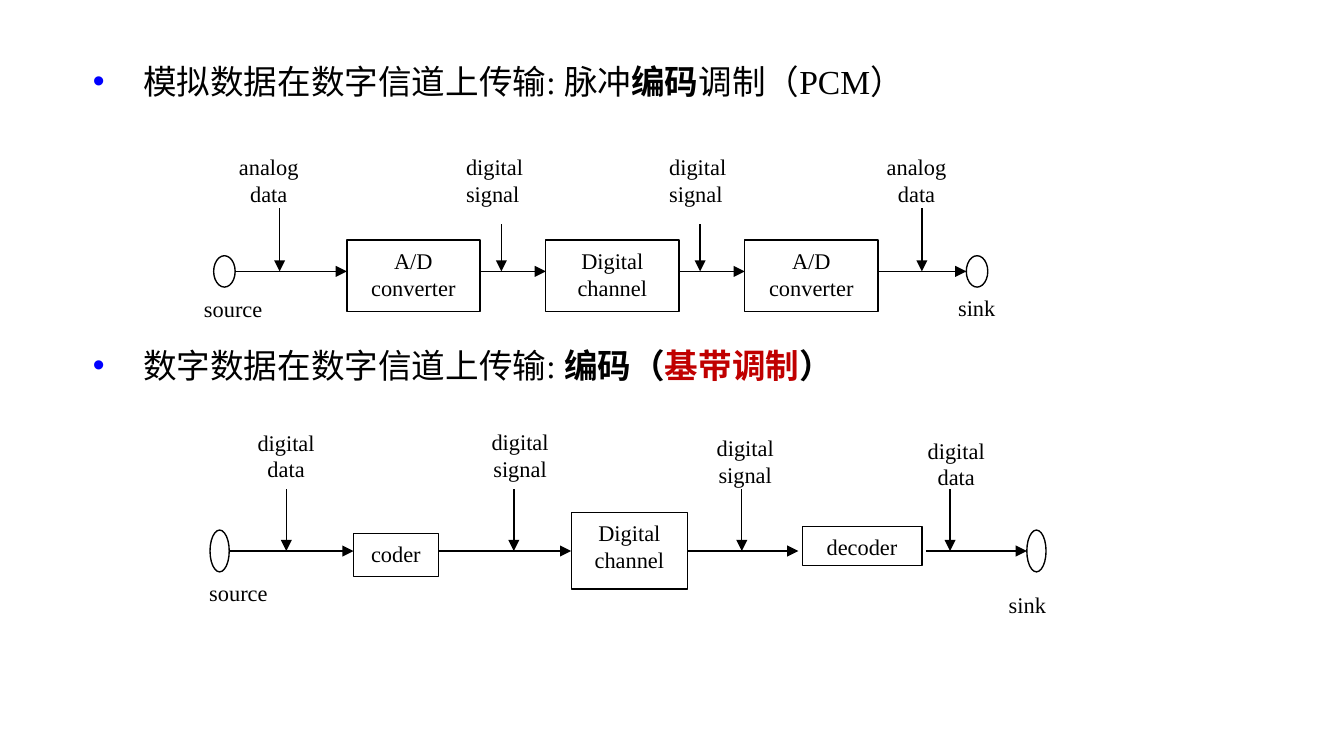
from itertools import pairwise
from lxml import etree
from pptx import Presentation
from pptx.dml.color import RGBColor
from pptx.enum import shapes, text
from pptx.oxml.ns import qn
from pptx.util import Pt

THEME = {
    "font": "Times New Roman", "bullet_font": "Arial",
    "black": "000000", "white": "FFFFFF", "bullet": "0000FF", "accent": "C00000",
    "heading": 18, "label": 12, "line": 0.75,
}
CENTER, JUSTIFY = text.PP_ALIGN.CENTER, text.PP_ALIGN.JUSTIFY
RECTANGLE, OVAL = shapes.MSO_SHAPE.RECTANGLE, shapes.MSO_SHAPE.OVAL

# Content: headings as (space before, runs), all lengths in points
HEADINGS = [
    (0, [("模拟数据在数字信道上传输: 脉冲", {}), ("编码", {"bold": True}),
         ("调制（PCM）", {})]),
    (130.5, [("数字数据在数字信道上传输: ", {}), ("编码（", {"bold": True}),
             ("基带调制", {"bold": True, "color": "accent"}), ("）", {"bold": True})]),
]

# axis: height of the signal path; nodes: text, left, top, width, height, gap to arrows
# ends: left edges of source and sink, width, height
# labels: text, left, top, width, height, alignment; drops: x, top
DIAGRAMS = [
    {
        "axis": 145.4,
        "ends": (114.5, 517.7, 11.5, 16.8),
        "nodes": [(name, 185.8 + 106.6 * i, 128.7, 71.3, 38.2, 0) for i, name in
                  enumerate(["A/D converter", "Digital channel", "A/D converter"])],
        "labels": [
            ("analog data", 114.5, 78.5, 59, 41.8, CENTER),
            ("digital signal", 242.6, 78.5, 54.7, 41.8, JUSTIFY),
            ("digital signal", 351.4, 78.5, 54.7, 41.8, JUSTIFY),
            ("analog data", 464.4, 78.5, 53.3, 41.8, CENTER),
            ("source", 102.2, 154.8, 58.3, 25.2, JUSTIFY),
            ("sink", 506.2, 154.1, 47.5, 25.2, JUSTIFY),
        ],
        "drops": [(149.8, 111.6), (268.6, 120.2), (375.1, 120.2), (493.9, 111.6)],
    },
    {
        "axis": 295.2,
        "ends": (112.5, 550.1, 10.3, 22.4),
        "nodes": [
            ("coder", 189.4, 285.8, 45.4, 23, 0),
            ("Digital channel", 306, 274.7, 62.4, 41, 0),
            ("decoder", 429.8, 282.2, 64.1, 20.9, 2.1),
        ],
        "labels": [
            ("digital data", 127.4, 226.1, 51.8, 37.4, CENTER),
            ("digital signal", 251.3, 226.1, 54.7, 33.8, CENTER),
            ("digital signal", 374.4, 229, 49.7, 34.6, CENTER),
            ("digital data", 482.4, 230.4, 59.8, 34.6, CENTER),
            ("source", 102.2, 306.7, 51.1, 33.8, CENTER),
            ("sink", 529.9, 313.2, 41, 33.8, CENTER),
        ],
        "drops": [(x, 262) for x in (153.4, 275.3, 397.4, 509)],
    },
]


def color(name):
    return RGBColor.from_string(THEME[name])


def add_text(paragraph, content, size="label", color_name="black", bold=False, align=None):
    """Append one formatted run to a paragraph."""
    run = paragraph.add_run()
    run.text = content
    run.font.name = THEME["font"]
    run.font.size = Pt(THEME[size])
    run.font.bold = bold
    run.font.color.rgb = color(color_name)
    if align is not None:
        paragraph.alignment = align


def add_box(group, kind, box, content="", outline="black", align=CENTER):
    shape = group.shapes.add_shape(kind, *(Pt(value) for value in box))
    shape.shadow.inherit = False
    shape.fill.solid()
    shape.fill.fore_color.rgb = color("white")
    shape.line.color.rgb = color(outline)
    shape.line.width = Pt(THEME["line"])
    if content:
        frame = shape.text_frame
        frame.word_wrap = True
        frame.vertical_anchor = text.MSO_ANCHOR.TOP
        add_text(frame.paragraphs[0], content, align=align)
    return shape


def add_arrow(group, *points):
    arrow = group.shapes.add_connector(
        shapes.MSO_CONNECTOR.STRAIGHT, *(Pt(value) for value in points))
    arrow.line.color.rgb = color("black")
    arrow.line.width = Pt(THEME["line"])
    etree.SubElement(arrow.line._get_or_add_ln(), qn("a:tailEnd"), type="triangle")
    etree.SubElement(arrow._element.spPr, qn("a:effectLst"))
    return arrow


def add_headings(body):
    body.left, body.top, body.width, body.height = Pt(42.5), Pt(28.8), Pt(652.3), Pt(317.5)
    frame = body.text_frame
    frame.auto_size = text.MSO_AUTO_SIZE.NONE
    for index, (space, runs) in enumerate(HEADINGS):
        paragraph = frame.add_paragraph() if index else frame.paragraphs[0]
        paragraph.space_before = Pt(space)
        for content, style in runs:
            add_text(paragraph, content, size="heading", bold=style.get("bold", False),
                     color_name=style.get("color", "black"))
        # Hanging blue bullet
        properties = paragraph._p.get_or_add_pPr()
        properties.set("marL", str(Pt(27)))
        properties.set("indent", str(-Pt(27)))
        bullet_color = etree.SubElement(properties, qn("a:buClr"))
        etree.SubElement(bullet_color, qn("a:srgbClr"), val=THEME["bullet"])
        etree.SubElement(properties, qn("a:buFont"), typeface=THEME["bullet_font"])
        etree.SubElement(properties, qn("a:buChar"), char="•")


def add_diagram(slide, diagram):
    group = slide.shapes.add_group_shape()
    axis = diagram["axis"]
    for content, *box, align in diagram["labels"]:
        add_box(group, RECTANGLE, box, content, outline="white", align=align)

    # Source, boxes and sink, each kept with its left and right arrow limits
    source_left, sink_left, width, height = diagram["ends"]
    source, sink = [
        (add_box(group, OVAL, (left, axis - height / 2, width, height)),
         left, left + width, False)
        for left in (source_left, sink_left)]
    stations = [source]
    for content, left, top, width, height, gap in diagram["nodes"]:
        shape = add_box(group, RECTANGLE, (left, top, width, height), content)
        centered = abs(top + height / 2 - axis) < 0.1
        stations.append((shape, left - gap, left + width + gap, centered))
    stations.append(sink)

    # Signal path, joined wherever it meets the middle of a side
    for (start, _, begin, join_start), (end, finish, _, join_end) in pairwise(stations):
        arrow = add_arrow(group, begin, axis, finish, axis)
        if join_start:
            arrow.begin_connect(start, 3)
        if join_end:
            arrow.end_connect(end, 1)

    # Arrows from the labels down to the path
    for x, top in diagram["drops"]:
        add_arrow(group, x, top, x, axis)


def main():
    presentation = Presentation()
    presentation.slide_width, presentation.slide_height = Pt(720), Pt(405)
    slide = presentation.slides.add_slide(presentation.slide_layouts[1])
    title = slide.shapes.title
    title._element.getparent().remove(title._element)
    add_headings(slide.placeholders[1])
    for diagram in DIAGRAMS:
        add_diagram(slide, diagram)
    presentation.save("out.pptx")


if __name__ == "__main__":
    main()
